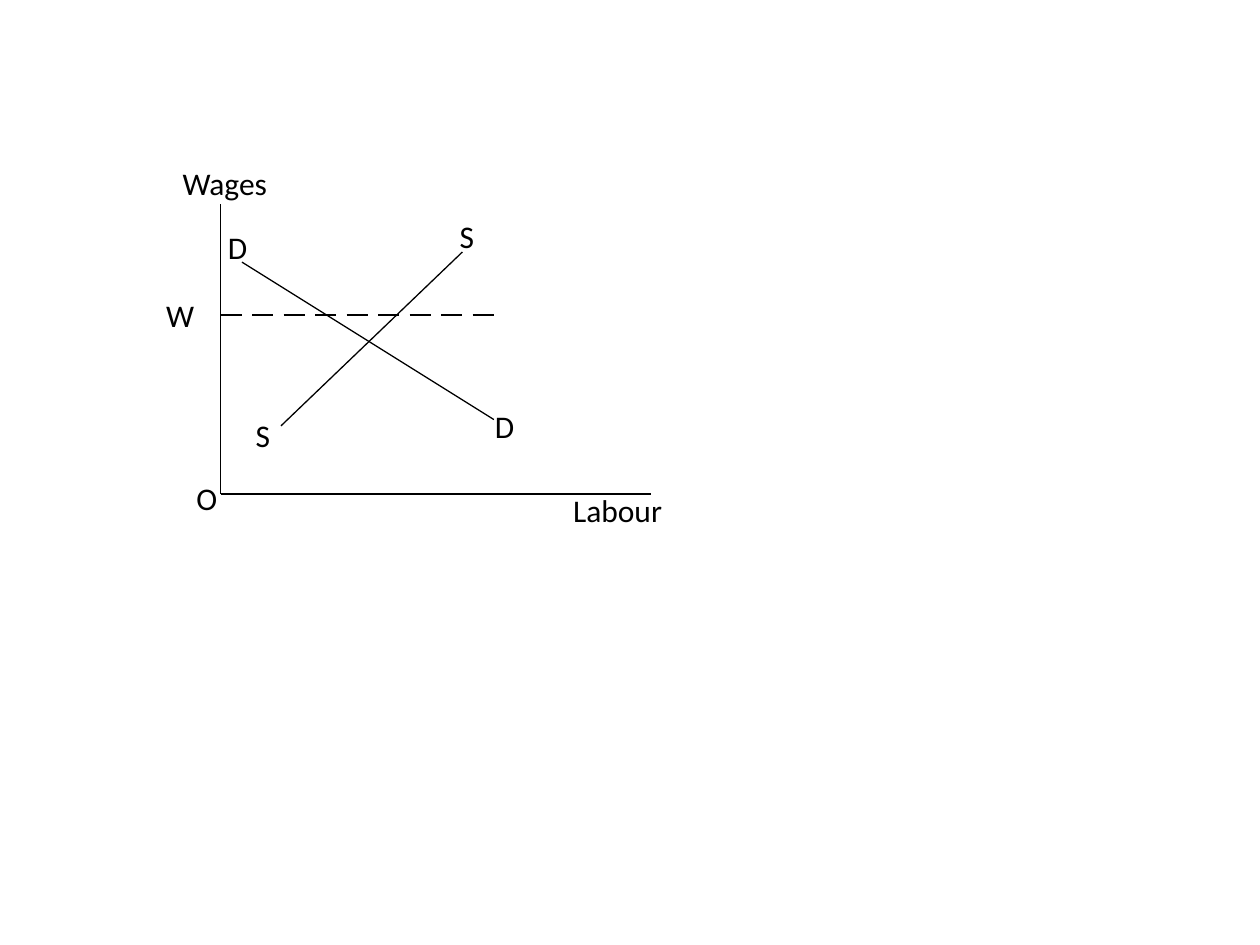
from dataclasses import dataclass

import pptx
import pptx.dml.color
import pptx.enum.shapes
import pptx.enum.text
import pptx.oxml
import pptx.util
from pptx.util import Inches


@dataclass(frozen=True)
class Theme:
    ink: pptx.dml.color.RGBColor = pptx.dml.color.RGBColor(0, 0, 0)
    font: str = "Calibri"
    label_size: int = 18
    line_width: float = 0.75


@dataclass(frozen=True)
class Box:
    left: float
    top: float
    width: float
    height: float


THEME = Theme()
LABEL_HEIGHT = 0.4
DASH_COUNT, DASH_LENGTH, DASH_PITCH = 9, 0.17, 0.25
WAGE_LEVEL = 0.88

# Positions are inches from the top of the wage axis.
CURVES = {
    "demand": ((0.17, 0.46), (2.17, 1.71)),
    "supply": ((1.92, 0.38), (0.48, 1.76)),
}
LABELS = [
    ("Wages", -0.40, -0.37, 0.88),
    ("O", -0.29, 2.13, 0.37),
    ("Labour", 2.70, 2.23, 0.92),
    ("W", -0.53, 0.68, 0.43),
    ("D", -0.04, 0.14, 0.36),
    ("S", 1.80, 0.05, 0.32),
    ("D", 2.08, 1.56, 0.36),
    ("S", 0.18, 1.63, 0.32),
]


def add_text(page, text, box, *, size=THEME.label_size, color=THEME.ink):
    shape = page.shapes.add_textbox(
        Inches(box.left), Inches(box.top), Inches(box.width), Inches(box.height)
    )
    frame = shape.text_frame
    frame.word_wrap = False
    frame.auto_size = pptx.enum.text.MSO_AUTO_SIZE.SHAPE_TO_FIT_TEXT
    span = frame.paragraphs[0].add_run()
    span.text = text
    span.font.name = THEME.font
    span.font.size = pptx.util.Pt(size)
    span.font.color.rgb = color


def add_line(page, box, start, end):
    """Draw a line between two points measured from the box's top left."""
    line = page.shapes.add_connector(
        pptx.enum.shapes.MSO_CONNECTOR.STRAIGHT,
        Inches(box.left + start[0]), Inches(box.top + start[1]),
        Inches(box.left + end[0]), Inches(box.top + end[1]),
    )
    line.line.color.rgb = THEME.ink
    line.line.width = pptx.util.Pt(THEME.line_width)
    properties = line._element.spPr
    properties.append(pptx.oxml.parse_xml(
        '<a:effectLst xmlns:a="http://schemas.openxmlformats.org/drawingml/2006/main"/>'
    ))


def add_labour_market(page, box):
    origin = (0, box.height)
    add_line(page, box, (0, 0), origin)
    add_line(page, box, origin, (box.width, box.height))
    for start, end in CURVES.values():
        add_line(page, box, start, end)
    for index in range(DASH_COUNT):
        x = index * DASH_PITCH
        add_line(page, box, (x, WAGE_LEVEL), (x + DASH_LENGTH, WAGE_LEVEL))
    for text, x, y, width in LABELS:
        add_text(page, text, Box(box.left + x, box.top + y, width, LABEL_HEIGHT))


def main():
    deck = pptx.Presentation()
    deck.slide_width, deck.slide_height = Inches(10), Inches(7.5)
    page = deck.slides.add_slide(deck.slide_layouts[6])
    add_labour_market(page, Box(1.75, 1.62, 3.42, 2.3))
    deck.save("out.pptx")


if __name__ == "__main__":
    main()
